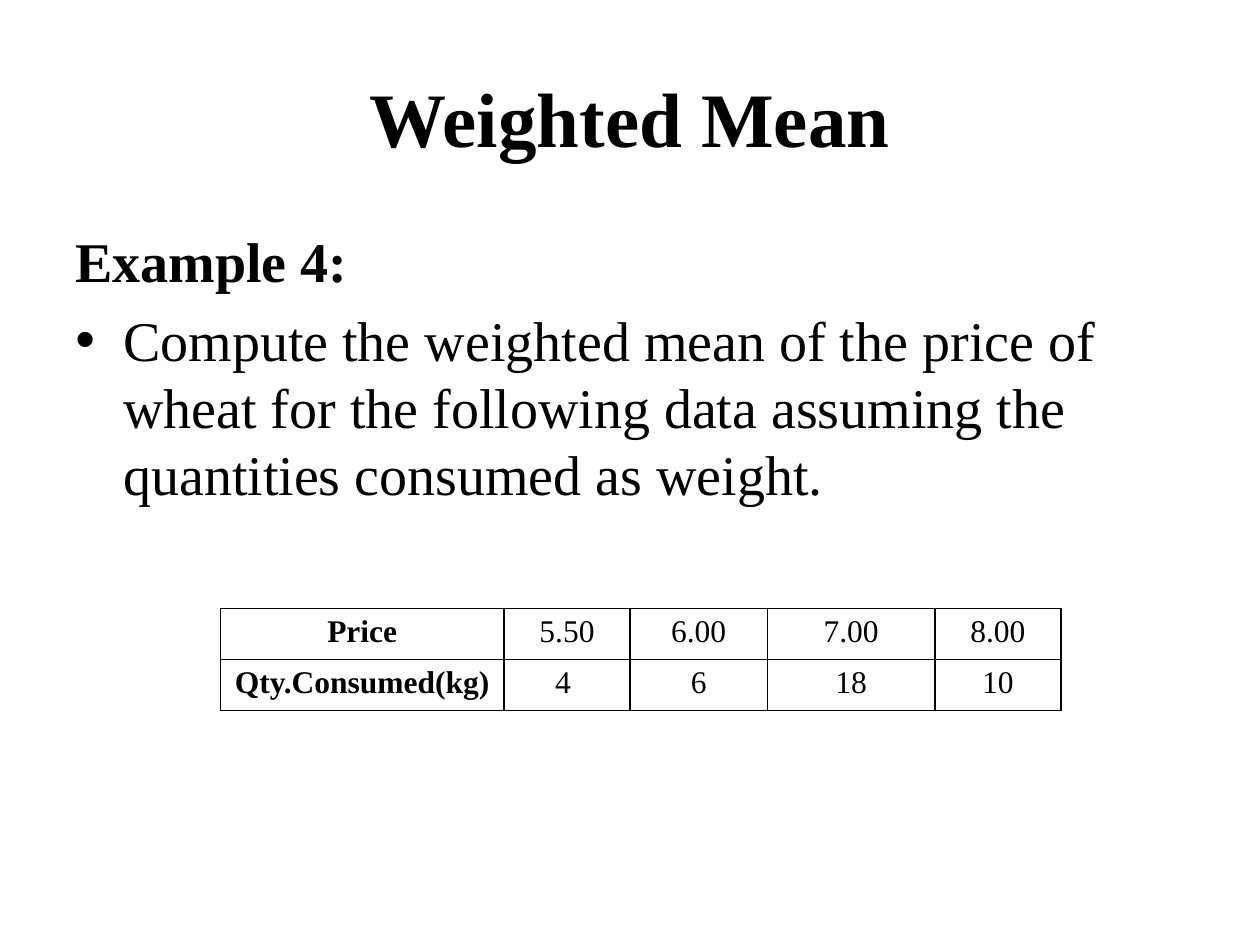
from dataclasses import dataclass

from lxml.etree import SubElement
from pptx import Presentation
from pptx.dml.color import RGBColor
from pptx.enum.text import MSO_ANCHOR, PP_ALIGN
from pptx.oxml.ns import qn
from pptx.util import Inches, Pt


@dataclass(frozen=True)
class Theme:
    font: str = "Times New Roman"
    ink: RGBColor = RGBColor(0, 0, 0)
    title: int = 44
    body: int = 32
    cell: int = 18
    rule: int = 1


THEME = Theme()

PRICES = ["Price", "5.50", "6.00", "7.00", "8.00"]
WEIGHTS = ["Qty.Consumed(kg)", "4 ", "6", "18", "10"]
WIDTHS = [2.25, 1, 1.09, 1.33, 1]


def place(shape, left, top, width, height):
    shape.left, shape.top = Inches(left), Inches(top)
    shape.width, shape.height = Inches(width), Inches(height)


def style(para, size, bold=False, align=PP_ALIGN.LEFT):
    para.alignment = align
    for run in para.runs:
        font = run.font
        font.name, font.size, font.bold = THEME.font, Pt(size), bold
        font.color.rgb = THEME.ink


def add_bullet(para, indent):
    props = para._p.get_or_add_pPr()
    props.set("marL", str(Inches(indent)))
    props.set("indent", str(-Inches(indent)))
    SubElement(props, qn("a:buFont"), typeface="Arial")
    SubElement(props, qn("a:buChar"), char="•")


def add_title(slide, text):
    title = slide.shapes.title
    place(title, 0.5, 0.3, 9, 1.25)
    frame = title.text_frame
    frame.text = text
    frame.vertical_anchor = MSO_ANCHOR.MIDDLE
    style(frame.paragraphs[0], THEME.title, True, PP_ALIGN.CENTER)


def add_body(slide, head, point):
    box = slide.shapes.add_textbox(
        Inches(0.5), Inches(1.75), Inches(9), Inches(4.95))
    frame = box.text_frame
    frame.word_wrap = True
    first, second = frame.paragraphs[0], frame.add_paragraph()
    first.text, second.text = head, point
    for para in (first, second):
        para.space_before = Pt(THEME.body * 0.2)
        style(para, THEME.body, para is first)
    add_bullet(second, 0.38)


def add_border(cell):
    props = cell._tc.get_or_add_tcPr()
    for index, side in enumerate(("lnL", "lnR", "lnT", "lnB")):
        line = props.makeelement(qn(f"a:{side}"), {"w": str(Pt(THEME.rule))})
        props.insert(index, line)
        fill = SubElement(line, qn("a:solidFill"))
        SubElement(fill, qn("a:srgbClr"), val=str(THEME.ink))


def add_grid(slide, rows, widths):
    frame = slide.shapes.add_table(
        len(rows), len(widths), Inches(1.75), Inches(4.83),
        Inches(sum(widths)), Inches(0.81))
    table = frame.table
    table.first_row = table.horz_banding = False
    for column, width in zip(table.columns, widths):
        column.width = Inches(width)
    for r, row in enumerate(rows):
        for c, text in enumerate(row):
            cell = table.cell(r, c)
            cell.text_frame.text = text
            cell.fill.background()
            style(cell.text_frame.paragraphs[0], THEME.cell, c == 0,
                  PP_ALIGN.CENTER)
            add_border(cell)


def main():
    deck = Presentation()
    deck.slide_width, deck.slide_height = Inches(10), Inches(7.5)
    slide = deck.slides.add_slide(deck.slide_layouts[5])
    add_title(slide, "Weighted Mean")
    add_body(slide, "Example 4:",
             "Compute the weighted mean of the price of wheat for the "
             "following data assuming the quantities consumed as weight.")
    add_grid(slide, [PRICES, WEIGHTS], WIDTHS)
    deck.save("out.pptx")


if __name__ == "__main__":
    main()
